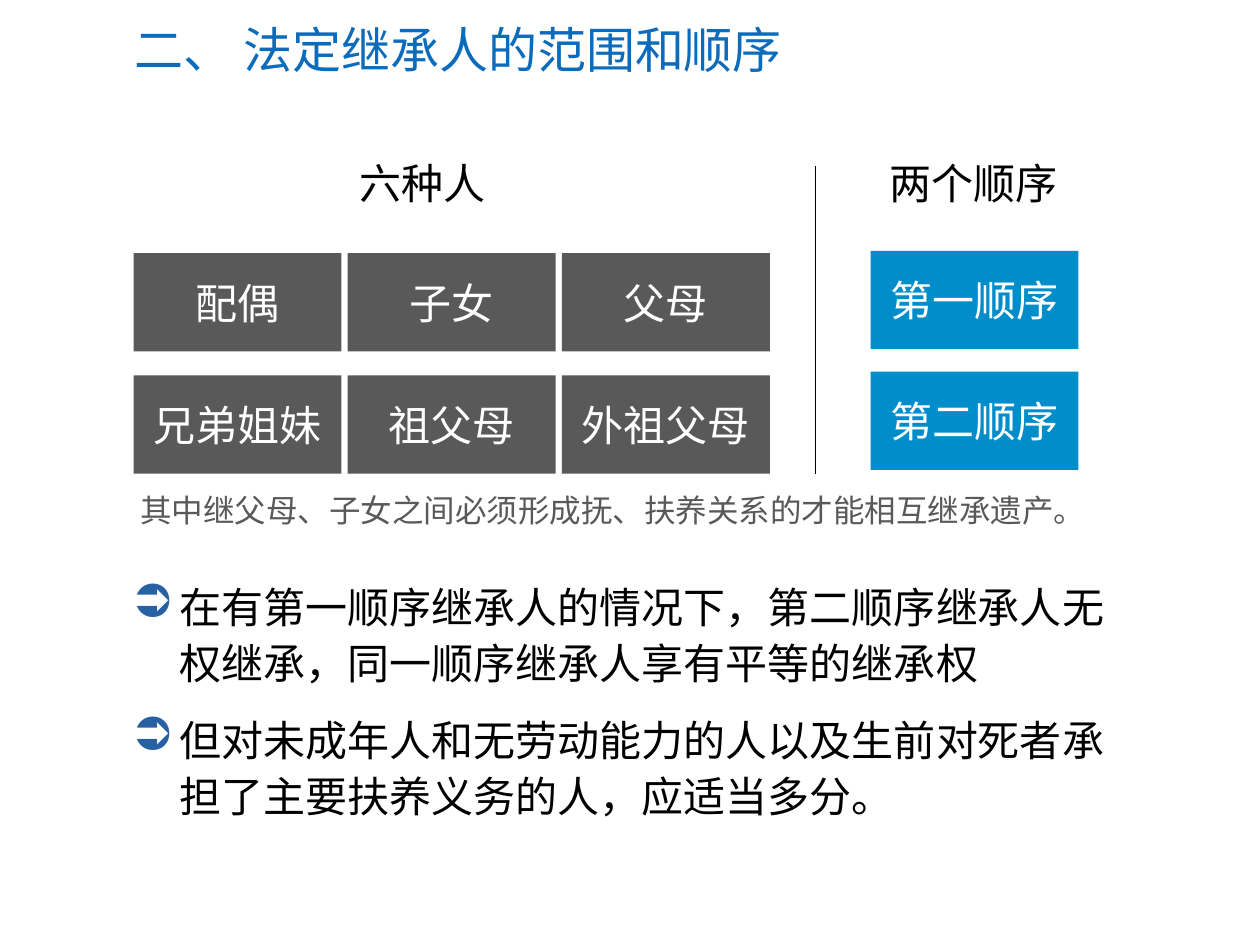
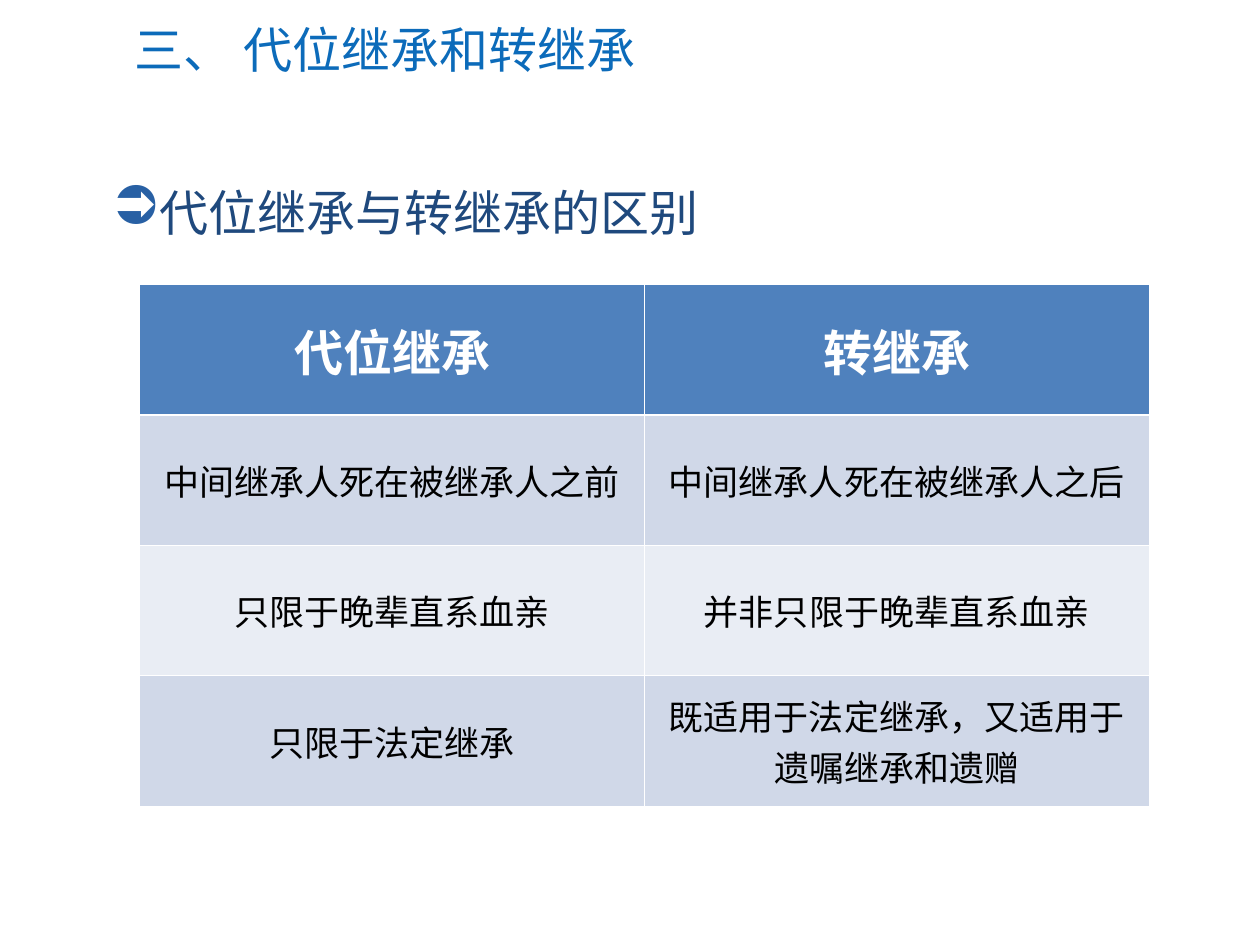
from dataclasses import dataclass

from lxml import etree
from pptx import Presentation
from pptx.dml.color import RGBColor
from pptx.enum.shapes import MSO_CONNECTOR, MSO_SHAPE
from pptx.enum.text import MSO_ANCHOR, PP_ALIGN
from pptx.oxml.ns import qn
from pptx.util import Emu, Pt

RECT = MSO_SHAPE.RECTANGLE
LINE = MSO_CONNECTOR.STRAIGHT
LEFT, MID = PP_ALIGN.LEFT, PP_ALIGN.CENTER
TOP, CENTER = MSO_ANCHOR.TOP, MSO_ANCHOR.MIDDLE

PX = 9144  # 100 px to the inch
LATIN, CJK = "Calibri", "Noto Sans CJK SC"
COLORS = {
    "title": "0C6BBA", "navy": "1F497D", "bullet": "2860A4",
    "gray": "595959", "blue": "008DCA", "black": "000000", "white": "FFFFFF",
    "head": "4F81BD", "odd": "D0D8E8", "even": "E9EDF4",
}


@dataclass
class Style:
    size: int
    color: str
    font: str = CJK
    bold: bool = False
    align: int = MID
    before: float = 0
    after: float = 0
    line: int = 0
    bullet: bool = False


@dataclass
class Box:
    x: int
    y: int
    w: int
    h: int


@dataclass
class Grid:
    start: Box
    dx: int
    dy: int
    color: str
    rows: list[list[str]]


TITLE = Style(28, "title", LATIN, align=LEFT)
LABEL = Style(24, "white", LATIN, before=6)
HEAD = Style(24, "black", before=6)
NOTE = Style(18, "gray", before=4.5)
POINT = Style(24, "black", align=LEFT, before=6, after=6, line=32, bullet=True)
TOPIC = Style(28, "navy", LATIN, align=LEFT, before=7, bullet=True)
COLUMN = Style(28, "white", LATIN, bold=True)
CELL = Style(20, "black", LATIN)

HEIRS = Grid(Box(106, 201, 165, 78), 170, 97, "gray",
             [["配偶", "子女", "父母"], ["兄弟姐妹", "祖父母", "外祖父母"]])
ORDERS = Grid(Box(691, 199, 165, 78), 0, 96, "blue",
              [["第一顺序"], ["第二顺序"]])
POINTS = [
    "在有第一顺序继承人的情况下，第二顺序继承人无权继承，同一顺序继承人享有平等的继承权",
    "但对未成年人和无劳动能力的人以及生前对死者承担了主要扶养义务的人，应适当多分。",
]
CASES = [
    ["代位继承", "转继承"],
    ["中间继承人死在被继承人之前", "中间继承人死在被继承人之后"],
    ["只限于晚辈直系血亲", "并非只限于晚辈直系血亲"],
    ["只限于法定继承", "既适用于法定继承，又适用于遗嘱继承和遗赠"],
]


def rgb(name: str) -> RGBColor:
    return RGBColor.from_string(COLORS[name])


def place(box: Box) -> list[Emu]:
    return [Emu(n * PX) for n in (box.x, box.y, box.w, box.h)]


def add_bullet(para) -> None:
    props = para._p.get_or_add_pPr()
    props.set("marL", str(38 * PX))
    props.set("indent", str(-38 * PX))
    color = etree.SubElement(props, qn("a:buClr"))
    etree.SubElement(color, qn("a:srgbClr"), val=COLORS["bullet"])
    etree.SubElement(props, qn("a:buSzPct"), val="110000")
    etree.SubElement(props, qn("a:buChar"), char="➲")


def write(frame, lines: list[str], style: Style) -> None:
    frame.word_wrap = True
    for i, line in enumerate(lines):
        para = frame.add_paragraph() if i else frame.paragraphs[0]
        para.alignment = style.align
        para.space_before = Pt(style.before)
        para.space_after = Pt(style.after)
        if style.line:
            para.line_spacing = Pt(style.line)
        if style.bullet:
            add_bullet(para)
        run = para.add_run()
        run.text = line
        font = run.font
        font.size, font.bold, font.name = Pt(style.size), style.bold, style.font
        font.color.rgb = rgb(style.color)
        etree.SubElement(run._r.get_or_add_rPr(), qn("a:ea"), typeface=CJK)


def add_text(slide, box: Box, lines: list[str], style: Style, anchor=TOP):
    frame = slide.shapes.add_textbox(*place(box)).text_frame
    frame.vertical_anchor = anchor
    write(frame, lines, style)
    return frame


def add_page(deck, title: str):
    slide = deck.slides.add_slide(deck.slide_layouts[6])
    frame = add_text(slide, Box(99, 10, 872, 58), [title], TITLE, CENTER)
    frame.margin_left = Emu(8 * PX)
    return slide


def add_grid(slide, grid: Grid) -> None:
    first = grid.start
    for r, row in enumerate(grid.rows):
        for c, name in enumerate(row):
            box = Box(first.x + c * grid.dx, first.y + r * grid.dy, first.w, first.h)
            shape = slide.shapes.add_shape(RECT, *place(box))
            shape.shadow.inherit = False
            shape.fill.solid()
            shape.fill.fore_color.rgb = rgb(grid.color)
            shape.line.fill.background()
            shape.text_frame.vertical_anchor = CENTER
            write(shape.text_frame, [name], LABEL)


def add_rule(slide, x: int, top: int, end: int) -> None:
    rule = slide.shapes.add_connector(LINE, *place(Box(x, end, x, top)))
    rule.line.color.rgb = rgb("black")
    rule.line.width = Pt(0.75)
    etree.SubElement(rule._element.spPr, qn("a:effectLst"))


def set_edges(cell, row: int) -> None:
    props = cell._tc.get_or_add_tcPr()
    thick = {0: "lnB", 1: "lnT"}.get(row)
    for i, side in enumerate(("lnL", "lnR", "lnT", "lnB")):
        width = Pt(1.47 if side == thick else 0.45)
        edge = etree.Element(qn(f"a:{side}"), w=str(int(width)))
        fill = etree.SubElement(edge, qn("a:solidFill"))
        etree.SubElement(fill, qn("a:srgbClr"), val=COLORS["white"])
        props.insert(i, edge)


def add_cases(slide, box: Box, rows: list[list[str]]) -> None:
    table = slide.shapes.add_table(len(rows), len(rows[0]), *place(box)).table
    table.first_row = table.horz_banding = False
    for r, row in enumerate(rows):
        color = "head" if r == 0 else "odd" if r % 2 else "even"
        for c, text in enumerate(row):
            cell = table.cell(r, c)
            cell.fill.solid()
            cell.fill.fore_color.rgb = rgb(color)
            cell.vertical_anchor = CENTER
            write(cell.text_frame, [text], CELL if r else COLUMN)
            set_edges(cell, r)


def main() -> None:
    deck = Presentation()
    deck.slide_width, deck.slide_height = Emu(1000 * PX), Emu(750 * PX)

    # Heirs and their order
    slide = add_page(deck, "二、 法定继承人的范围和顺序")
    add_text(slide, Box(271, 120, 129, 50), ["六种人"], HEAD)
    add_grid(slide, HEIRS)
    add_rule(slide, 647, 132, 376)
    add_text(slide, Box(696, 120, 154, 50), ["两个顺序"], HEAD)
    add_grid(slide, ORDERS)
    add_text(slide, Box(95, 385, 783, 40),
             ["其中继父母、子女之间必须形成抚、扶养关系的才能相互继承遗产。"], NOTE)
    add_text(slide, Box(95, 452, 821, 205), POINTS, POINT)

    # Two kinds of succession compared
    slide = add_page(deck, "三、 代位继承和转继承")
    add_text(slide, Box(79, 140, 834, 57), ["代位继承与转继承的区别"], TOPIC)
    add_cases(slide, Box(111, 226, 801, 414), CASES)

    deck.save("out.pptx")


if __name__ == "__main__":
    main()
